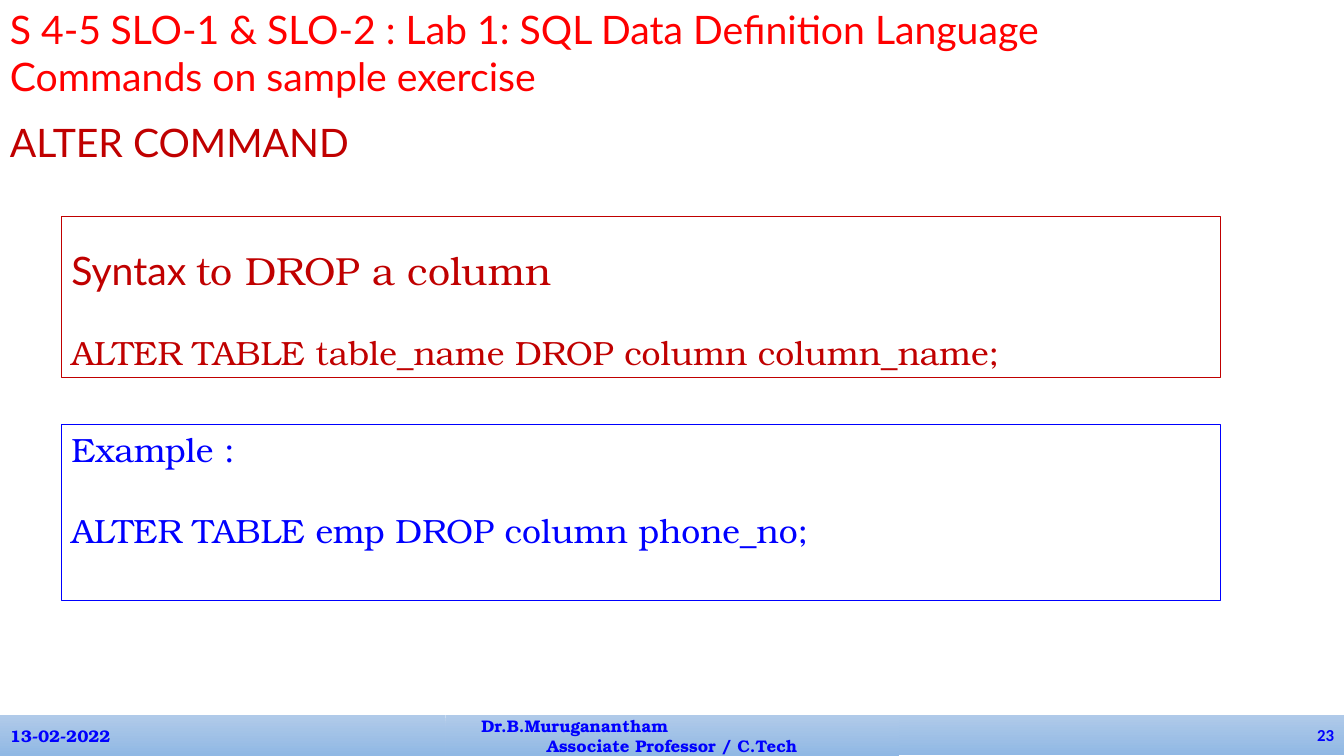
from pptx import Presentation
from pptx import util as u
from pptx.dml.color import RGBColor
from pptx.enum import shapes, text

SANS, SERIF, NUMBER_FONT = "Lato", "TeX Gyre Bonum", "Calibri"
RED, DARK_RED, BLUE = "FF0000", "C00000", "0000FF"
BAND_TOP, BAND_BOTTOM = "B0CAE9", "90B8E4"
ALIGN = text.PP_ALIGN


def color(hex_value):
    return RGBColor.from_string(hex_value)


def set_frame(shape, anchor=text.MSO_ANCHOR.TOP, top_inset=0.13):
    frame = shape.text_frame
    frame.word_wrap = True
    frame.vertical_anchor = anchor
    frame.margin_left = frame.margin_right = u.Cm(0.25)
    frame.margin_top, frame.margin_bottom = u.Cm(top_inset), u.Cm(0.13)
    return frame


def add_paragraph(frame, runs, size, hex_color, first=True, align=ALIGN.LEFT,
                  spacing=1.0, before=0, bold=False, indent=0):
    """Write one paragraph; runs are (wording, font name) pairs."""
    paragraph = frame.paragraphs[0] if first else frame.add_paragraph()
    paragraph.alignment = align
    paragraph.line_spacing = spacing
    paragraph.space_before = u.Pt(before)
    if indent:
        paragraph._p.get_or_add_pPr().set("marL", str(u.Cm(indent)))
    for wording, font_name in runs:
        run = paragraph.add_run()
        run.text = wording
        run.font.name = font_name
        run.font.size = u.Pt(size)
        run.font.bold = bold
        run.font.color.rgb = color(hex_color)


def add_heading(slide, top, width, height, wording, hex_color, spacing=1.0):
    box = slide.shapes.add_textbox(u.Cm(0), u.Cm(top), u.Cm(width), u.Cm(height))
    add_paragraph(set_frame(box), [(wording, SANS)], 28, hex_color, spacing=spacing)


def add_rectangle(slide, left, top, width, height):
    shape = slide.shapes.add_shape(shapes.MSO_SHAPE.RECTANGLE, u.Cm(left),
                                   u.Cm(top), u.Cm(width), u.Cm(height))
    shape.shadow.inherit = False
    return shape


def add_outlined_box(slide, top, height, hex_color, top_inset=0.13):
    shape = add_rectangle(slide, 1.55, top, 29.21, height)
    shape.fill.background()
    shape.line.color.rgb = color(hex_color)
    shape.line.width = u.Pt(0.75)
    return set_frame(shape, top_inset=top_inset)


def add_footer_cell(slide, left, top, width):
    shape = add_rectangle(slide, left, top, width, 1.02)
    shape.fill.gradient()
    shape.fill.gradient_angle = 270
    for stop, hex_color in zip(shape.fill.gradient_stops, (BAND_TOP, BAND_BOTTOM)):
        stop.color.rgb = color(hex_color)
    shape.line.fill.background()
    return set_frame(shape, text.MSO_ANCHOR.MIDDLE)


def main():
    presentation = Presentation()
    presentation.slide_width, presentation.slide_height = u.Cm(33.87), u.Cm(19.05)
    slide = presentation.slides.add_slide(presentation.slide_layouts[6])

    # Syntax box
    syntax = add_outlined_box(slide, 5.46, 4.06, DARK_RED, top_inset=0.89)
    add_paragraph(syntax, [("Syntax ", SANS), ("to DROP a column", SERIF)],
                  28, DARK_RED, spacing=0.9)
    add_paragraph(syntax, [("ALTER TABLE table_name DROP column column_name;", SERIF)],
                  24, DARK_RED, first=False, spacing=0.9, before=30)

    # Footer band: date, author, slide number
    date = add_footer_cell(slide, 0, 18.03, 11.23)
    add_paragraph(date, [("13-02-2022", SERIF)], 12, BLUE, bold=True)
    author = add_footer_cell(slide, 11.23, 18.03, 11.43)
    add_paragraph(author, [("Dr.B.Muruganantham", SERIF)], 12, BLUE,
                  bold=True, indent=0.65)
    add_paragraph(author, [("Associate Professor / C.Tech", SERIF)], 12, BLUE,
                  first=False, align=ALIGN.CENTER, bold=True)
    number = add_footer_cell(slide, 22.66, 18.01, 11.21)
    add_paragraph(number, [("23", NUMBER_FONT)], 12, BLUE,
                  align=ALIGN.RIGHT, bold=True)

    # Headings
    add_heading(slide, 3.07, 29.21, 1.24, "ALTER COMMAND", DARK_RED, spacing=0.8)
    add_heading(slide, 0, 30.48, 2.64,
                "S 4-5\tSLO-1 & SLO-2 : Lab 1: SQL Data Definition Language "
                "Commands on sample exercise", RED)

    # Example box
    example = add_outlined_box(slide, 10.69, 4.45, BLUE)
    add_paragraph(example, [("Example :", SERIF)], 24, BLUE)
    add_paragraph(example, [("ALTER TABLE emp DROP column phone_no;", SERIF)],
                  24, BLUE, first=False, before=29)

    presentation.save("out.pptx")


if __name__ == "__main__":
    main()
